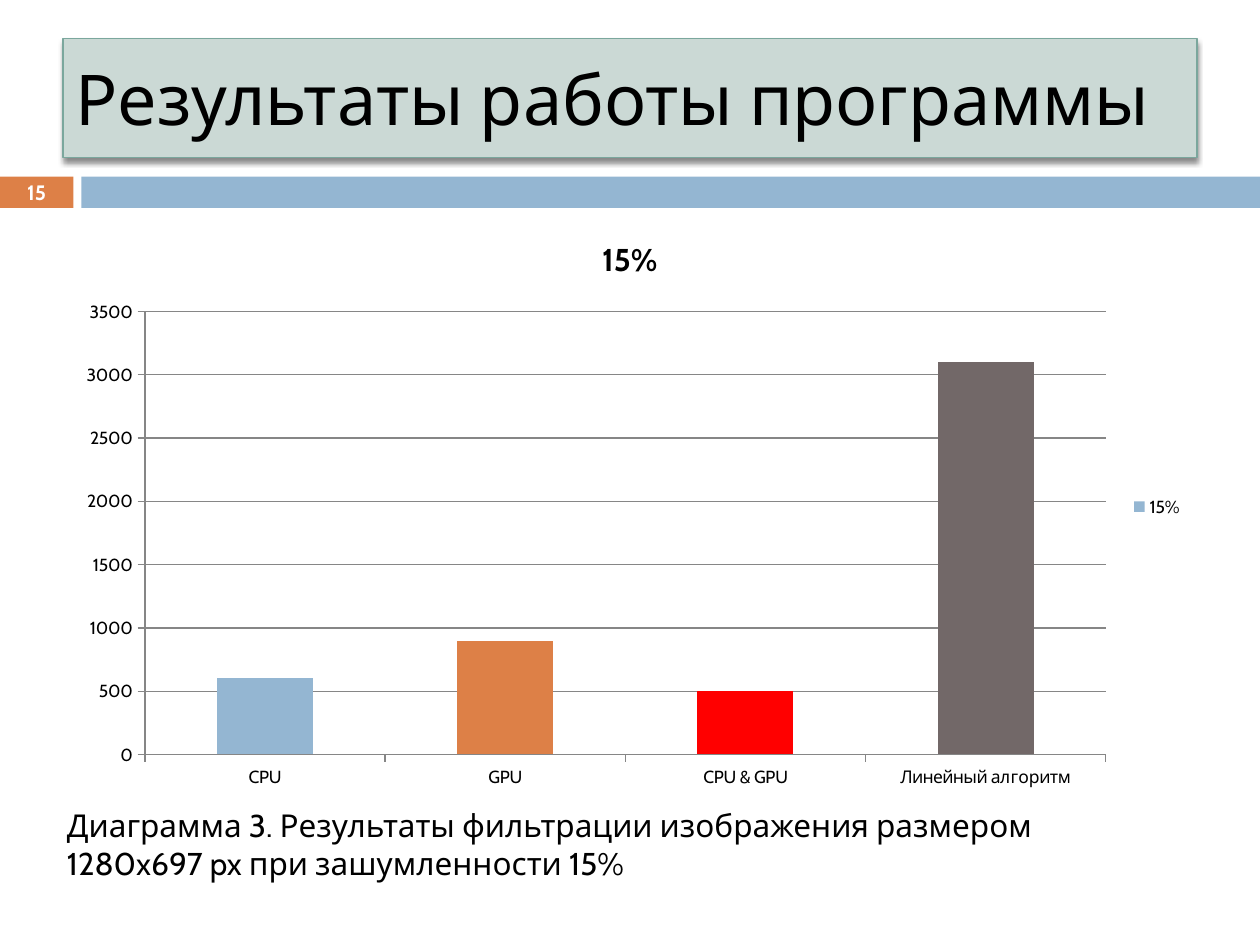
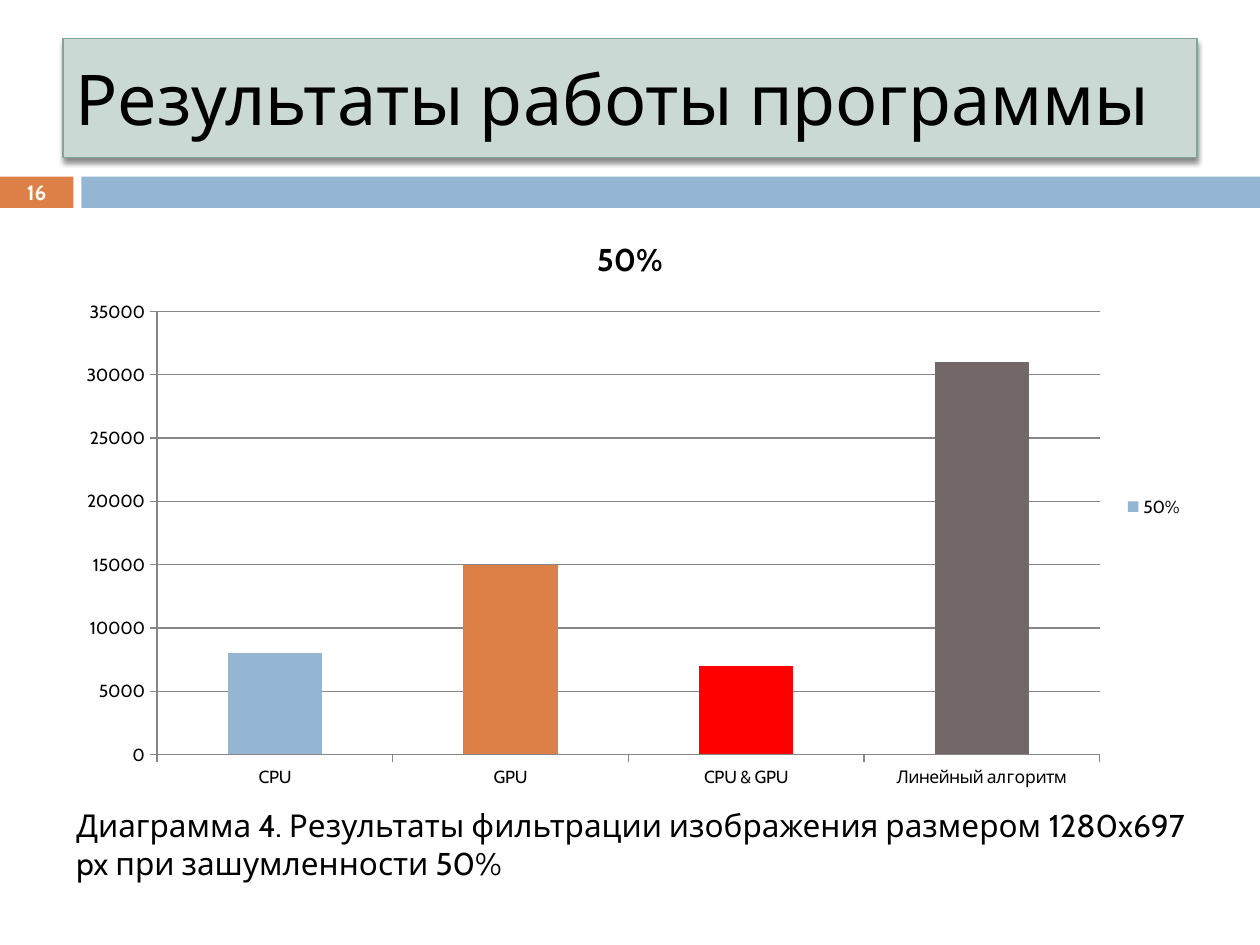
"""Build two slides comparing image filtering times by computing device."""
from dataclasses import dataclass

from lxml import etree
from pptx import Presentation
from pptx import util as u
from pptx.chart import data as chart_data
from pptx.dml.color import RGBColor
from pptx.enum import chart as charts, shapes, text
from pptx.oxml import ns

FONT = "Cabin"
TITLE = "Результаты работы программы"
COLOURS = {
    "text": "000000",
    "number": "FFFFFF",
    "title_fill": "CBD9D5",
    "title_line": "7BA79D",
    "orange": "DD8047",
    "blue": "94B6D2",
    "red": "FF0000",
    "brown": "726868",
    "grid": "868686",
}
BAR_COLOURS = {
    "CPU": "blue",
    "GPU": "orange",
    "CPU & GPU": "red",
    "Линейный алгоритм": "brown",
}


@dataclass(frozen=True)
class Area:
    """A rectangle in centimetres."""

    left: float
    top: float
    width: float
    height: float

    def lengths(self) -> tuple:
        """Return the four lengths for python-pptx."""
        return tuple(u.Cm(side) for side in (self.left, self.top, self.width, self.height))


@dataclass(frozen=True)
class Band:
    """A coloured strip below the title."""

    area: Area
    colour: str


@dataclass(frozen=True)
class Result:
    """The measurements and wording of one slide."""

    number: int
    noise: str
    times: tuple[int, ...]
    caption: str
    caption_area: Area


TITLE_AREA = Area(1.27, 0.77, 22.86, 2.41)
NUMBER_AREA = Area(0, 3.53, 1.48, 0.69)
CHART_AREA = Area(1.29, 4.31, 22.81, 11.81)
BANDS = (
    Band(Area(0, 3.56, 1.48, 0.63), "orange"),
    Band(Area(1.64, 3.56, 23.76, 0.63), "blue"),
)
RESULTS = (
    Result(15, "15%", (600, 900, 500, 3100),
           "Диаграмма 3. Результаты фильтрации изображения размером 1280x697 px при зашумленности 15%",
           Area(1.1, 16.13, 22.81, 1.8)),
    Result(16, "50%", (8000, 15000, 7000, 31000),
           "Диаграмма 4. Результаты фильтрации изображения размером 1280x697 px при зашумленности 50%",
           Area(1.29, 16.13, 23.01, 1.8)),
)


def rgb(name: str) -> RGBColor:
    """Look up a palette colour."""
    return RGBColor.from_string(COLOURS[name])


def style_font(font, size: float, colour: str = "text", bold: bool = False) -> None:
    """Apply the deck typeface to a font."""
    font.name = FONT
    font.size = u.Pt(size)
    font.bold = bold
    font.color.rgb = rgb(colour)


def paint(shape, colour: str) -> None:
    """Fill a shape with a palette colour."""
    shape.fill.solid()
    shape.fill.fore_color.rgb = rgb(colour)


def add_span(para, words: str, size: float, colour: str = "text", bold: bool = False) -> None:
    """Append one formatted run to a paragraph."""
    span = para.add_run()
    span.text = words
    style_font(span.font, size, colour, bold)


def add_bands(page, layout) -> None:
    """Draw the bands and hand them over to the shared layout."""
    for band in BANDS:
        shape = page.shapes.add_shape(shapes.MSO_SHAPE.RECTANGLE, *band.area.lengths())
        paint(shape, band.colour)
        shape.line.fill.background()
        shape.shadow.inherit = False
        layout.shapes.element.append(shape.element)


def add_shadow(shape) -> None:
    """Give a shape a soft shadow straight below it."""
    shape.shadow.inherit = False
    effects = shape.element.spPr.find(ns.qn("a:effectLst"))
    shadow = etree.SubElement(effects, ns.qn("a:outerShdw"), blurRad=str(u.Pt(3)),
                              dist=str(u.Pt(2.4)), dir="5400000", rotWithShape="0")
    colour = etree.SubElement(shadow, ns.qn("a:srgbClr"), val=COLOURS["text"])
    etree.SubElement(colour, ns.qn("a:alpha"), val="45000")


def format_title(page) -> None:
    """Place and fill the title placeholder."""
    title = page.shapes.title
    title.left, title.top, title.width, title.height = TITLE_AREA.lengths()
    paint(title, "title_fill")
    title.line.color.rgb = rgb("title_line")
    title.line.width = u.Pt(0.79)
    add_shadow(title)
    frame = title.text_frame
    frame.auto_size = text.MSO_AUTO_SIZE.NONE
    frame.vertical_anchor = text.MSO_ANCHOR.MIDDLE
    para = frame.paragraphs[0]
    para.alignment = text.PP_ALIGN.LEFT
    add_span(para, TITLE, 40)


def add_number(page, number: int) -> None:
    """Write the page number on the orange band."""
    frame = page.shapes.add_textbox(*NUMBER_AREA.lengths()).text_frame
    frame.margin_left = frame.margin_right = frame.margin_top = frame.margin_bottom = 0
    frame.word_wrap = True
    frame.vertical_anchor = text.MSO_ANCHOR.MIDDLE
    para = frame.paragraphs[0]
    para.alignment = text.PP_ALIGN.CENTER
    add_span(para, str(number), 11.9, "number", bold=True)


def add_caption(page, result: Result) -> None:
    """Write the caption under the chart."""
    frame = page.shapes.add_textbox(*result.caption_area.lengths()).text_frame
    frame.word_wrap = True
    frame.auto_size = text.MSO_AUTO_SIZE.SHAPE_TO_FIT_TEXT
    add_span(frame.paragraphs[0], result.caption, 18)


def add_result_chart(page, result: Result) -> None:
    """Draw the column chart of filtering times."""
    table = chart_data.CategoryChartData(number_format="General")
    table.categories = list(BAR_COLOURS)
    table.add_series(result.noise, result.times)
    chart = page.shapes.add_chart(charts.XL_CHART_TYPE.COLUMN_CLUSTERED,
                                  *CHART_AREA.lengths(), table).chart
    style_font(chart.font, 10)
    chart.has_title = True
    add_span(chart.chart_title.text_frame.paragraphs[0], result.noise, 18, bold=True)
    chart.has_legend = True
    chart.legend.position = charts.XL_LEGEND_POSITION.RIGHT
    chart.legend.include_in_layout = False

    axes = (chart.category_axis, chart.value_axis)
    chart.value_axis.has_major_gridlines = True
    for line in (*(axis.format.line for axis in axes),
                 chart.value_axis.major_gridlines.format.line):
        line.color.rgb = rgb("grid")
        line.width = u.Pt(0.75)
    for axis in axes:
        axis.major_tick_mark = charts.XL_TICK_MARK.OUTSIDE

    plot = chart.plots[0]
    plot.gap_width = 150
    plot.vary_by_categories = False
    bars = plot.series[0]
    paint(bars.format, "blue")
    for index, colour in enumerate(BAR_COLOURS.values()):
        paint(bars.points[index].format, colour)


def main() -> None:
    """Build and save the deck."""
    deck = Presentation()
    deck.slide_width, deck.slide_height = u.Cm(25.4), u.Cm(19.05)
    layout = deck.slide_layouts.get_by_name("Title Only")
    pages = [deck.slides.add_slide(layout) for _ in RESULTS]
    add_bands(pages[0], layout)
    for page, result in zip(pages, RESULTS):
        format_title(page)
        add_number(page, result.number)
        add_caption(page, result)
        add_result_chart(page, result)
    deck.save("out.pptx")


if __name__ == "__main__":
    main()
